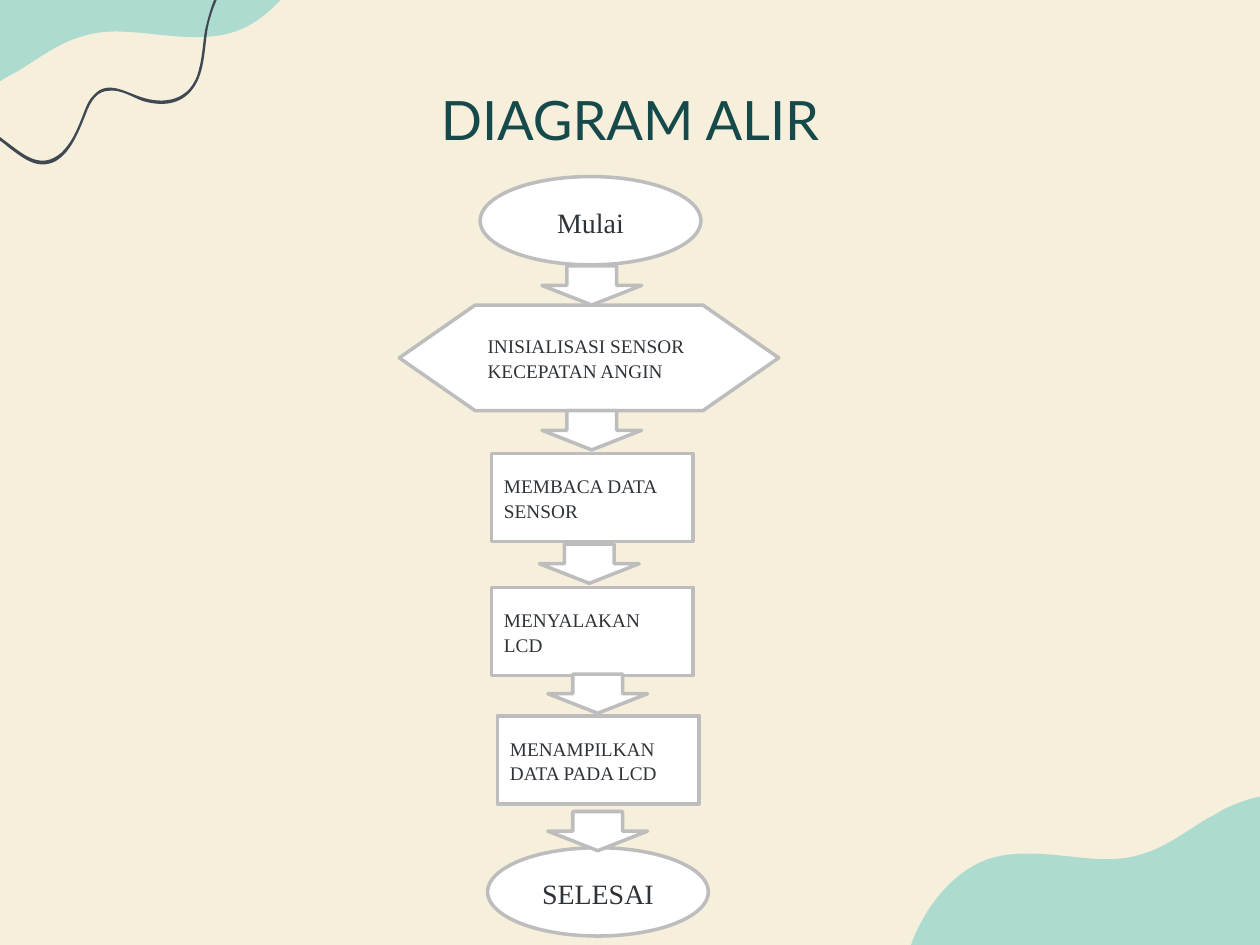
from dataclasses import dataclass

from lxml.etree import SubElement
from pptx import Presentation
from pptx.dml.color import RGBColor
from pptx.enum.shapes import MSO_SHAPE
from pptx.enum.text import MSO_ANCHOR, MSO_AUTO_SIZE, PP_ALIGN
from pptx.oxml.ns import qn
from pptx.util import Cm, Pt


@dataclass(frozen=True)
class Theme:
    background: RGBColor = RGBColor.from_string("F6EFDC")
    wave: RGBColor = RGBColor.from_string("ADDBD0")
    swirl: RGBColor = RGBColor.from_string("3F4853")
    title: RGBColor = RGBColor.from_string("164A4A")
    text: RGBColor = RGBColor.from_string("2E3338")
    box: RGBColor = RGBColor.from_string("FFFFFF")
    outline: RGBColor = RGBColor.from_string("BDBDBD")
    title_font: str = "Lato"
    body_font: str = "Times New Roman"
    title_size: Pt = Pt(31)
    terminal_size: Pt = Pt(16)
    step_size: Pt = Pt(11)
    outline_width: Pt = Pt(2)


THEME = Theme()

# Curves: a start point, then two control points and an end point per segment.
CURVE_UNIT = Cm(0.0254)
WAVE = [
    (-139, -49),
    (-140, -28), (-138, -8), (-132, 11), (-123, 39), (-103, 60), (-82, 70),
    (-79, 71), (-77, 72), (-74, 73), (-49, 81), (-23, 76), (1, 64),
    (5, 61), (10, 59), (15, 56), (31, 46), (47, 34), (65, 29),
    (86, 22), (108, 26), (130, 28), (150, 30), (169, 31), (187, 25),
    (215, 15), (239, -14), (250, -49),
]
OPPOSITE_WAVE = [(971 - x, 707 - y) for x, y in WAVE]
SWIRL = [
    (198, -37),
    (186, -28), (177, -16), (170, 0), (167, 7), (165, 15), (163, 23),
    (161, 34), (161, 44), (158, 55), (152, 81), (129, 83), (112, 77),
    (99, 73), (85, 63), (74, 76), (69, 81), (67, 89), (64, 96),
    (60, 106), (56, 114), (49, 121), (32, 136), (18, 122), (3, 111),
    (-21, 91), (-52, 99), (-69, 129), (-73, 135), (-75, 142), (-77, 149),
    (-77, 150), (-76, 151), (-75, 149), (-70, 129), (-58, 113), (-42, 105),
    (-25, 97), (-8, 104), (7, 117), (19, 126), (30, 135), (44, 128),
    (56, 121), (62, 106), (68, 91), (72, 80), (77, 72), (87, 72),
    (96, 71), (105, 77), (113, 80), (126, 84), (141, 84), (151, 73),
    (163, 60), (162, 39), (165, 22), (169, 2), (179, -16), (191, -29),
    (194, -31), (196, -33), (199, -35), (199, -36), (199, -38), (198, -37),
]

TERMINAL = (MSO_SHAPE.OVAL, 4.45, 1.78, THEME.terminal_size, PP_ALIGN.CENTER)
PREPARATION = (MSO_SHAPE.FLOWCHART_PREPARATION, 7.65, 2.13,
               THEME.step_size, PP_ALIGN.LEFT)
PROCESS = (MSO_SHAPE.RECTANGLE, 4.06, 1.78, THEME.step_size, PP_ALIGN.LEFT)

# Kind, left and top in centimetres, wording.
STEPS = [
    (TERMINAL, 9.68, 3.56, "Mulai"),
    (PREPARATION, 8.05, 6.15, "INISIALISASI SENSOR KECEPATAN ANGIN"),
    (PROCESS, 9.91, 9.14, "MEMBACA DATA SENSOR"),
    (PROCESS, 9.91, 11.84, "MENYALAKAN LCD"),
    (PROCESS, 10.03, 14.43, "MENAMPILKAN DATA PADA LCD"),
    (TERMINAL, 9.83, 17.09, "SELESAI"),
]
ARROW_WIDTH, ARROW_HEIGHT = 2.01, 0.79
# Centre and top in centimetres.
ARROWS = [(11.93, 5.36), (11.93, 8.28), (11.88, 10.97),
          (12.05, 13.59), (12.05, 16.36)]


def add_run(para, text, font, size, color):
    span = para.add_run()
    span.text = text
    span.font.name = font
    span.font.size = size
    span.font.color.rgb = color


def add_curve(page, points, color):
    """Draw a closed outline whose points are joined by cubic curves."""
    builder = page.shapes.build_freeform(*points[0], scale=CURVE_UNIT)
    builder.add_line_segments(points[1:], close=True)
    curve = builder.convert_to_shape()
    segments = list(curve.element.iter(qn("a:lnTo")))[:len(points) - 1]
    for first in range(0, len(segments), 3):
        bezier = SubElement(segments[first].getparent(), qn("a:cubicBezTo"))
        segments[first].addprevious(bezier)
        for segment in segments[first:first + 3]:
            bezier.append(segment[0])
            segment.getparent().remove(segment)
    curve.shadow.inherit = False
    curve.fill.solid()
    curve.fill.fore_color.rgb = color
    curve.line.fill.background()
    return curve


def format_title(title, text):
    title.left, title.top = Cm(1.98), Cm(1.73)
    title.width, title.height = Cm(21.44), Cm(1.68)
    frame = title.text_frame
    frame.margin_left = frame.margin_right = Cm(0)
    frame.margin_top = frame.margin_bottom = Cm(0)
    frame.auto_size = MSO_AUTO_SIZE.NONE
    frame.vertical_anchor = MSO_ANCHOR.TOP
    para = frame.paragraphs[0]
    para.alignment = PP_ALIGN.CENTER
    add_run(para, text, THEME.title_font, THEME.title_size, THEME.title)


def add_outlined(chart, preset, left, top, width, height):
    box = chart.shapes.add_shape(preset, Cm(left), Cm(top), Cm(width), Cm(height))
    box.shadow.inherit = False
    box.fill.solid()
    box.fill.fore_color.rgb = THEME.box
    box.line.color.rgb = THEME.outline
    box.line.width = THEME.outline_width
    return box


def add_step(chart, kind, left, top, text):
    preset, width, height, size, alignment = kind
    box = add_outlined(chart, preset, left, top, width, height)
    frame = box.text_frame
    frame.word_wrap = True
    frame.vertical_anchor = MSO_ANCHOR.MIDDLE
    para = frame.paragraphs[0]
    para.alignment = alignment
    para.line_spacing = 1.07
    add_run(para, text, THEME.body_font, size, THEME.text)


def add_arrow(chart, center, top):
    add_outlined(chart, MSO_SHAPE.DOWN_ARROW, center - ARROW_WIDTH / 2, top,
                 ARROW_WIDTH, ARROW_HEIGHT)


def main():
    deck = Presentation()
    deck.slide_width, deck.slide_height = Cm(25.4), Cm(19.05)
    page = deck.slides.add_slide(deck.slide_layouts[5])
    page.background.fill.solid()
    page.background.fill.fore_color.rgb = THEME.background

    add_curve(page, WAVE, THEME.wave)
    add_curve(page, OPPOSITE_WAVE, THEME.wave)
    swirl = add_curve(page, SWIRL, THEME.swirl)
    title = page.shapes.title
    swirl.element.addnext(title.element)
    format_title(title, "DIAGRAM ALIR")

    flowchart = page.shapes.add_group_shape()
    for step in STEPS:
        add_step(flowchart, *step)
    for arrow in ARROWS:
        add_arrow(flowchart, *arrow)
    deck.save("out.pptx")


if __name__ == "__main__":
    main()
